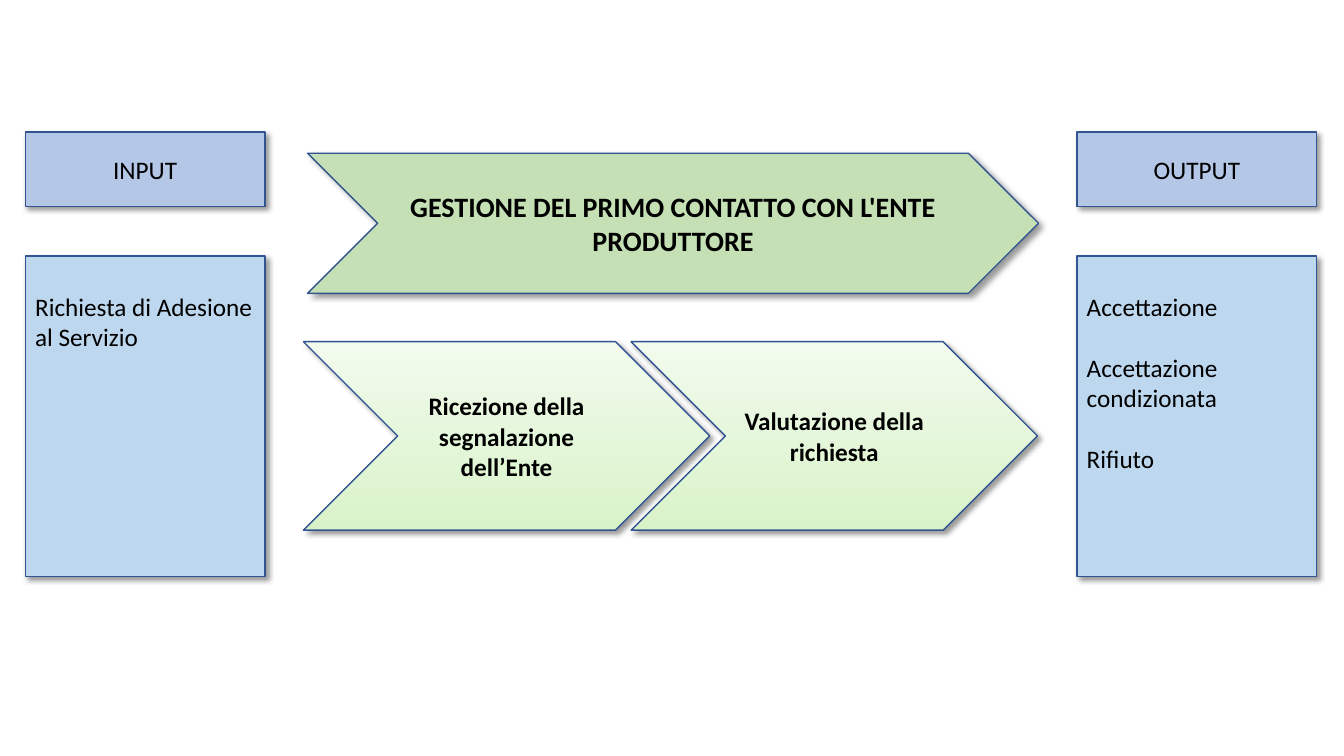
from lxml import etree
from pptx import Presentation
from pptx.dml.color import RGBColor
from pptx.enum.shapes import MSO_SHAPE
from pptx.enum.text import MSO_ANCHOR, PP_ALIGN
from pptx.oxml.ns import qn
from pptx.util import Inches, Pt

COLUMN_WIDTH = 2.38
COLUMNS = [
    (0.25, "INPUT", ["Richiesta di Adesione al Servizio"]),
    (10.68, "OUTPUT", ["Accettazione", "Accettazione condizionata", "Rifiuto"]),
]
STEPS = [
    (3.01, "Ricezione della segnalazione dell’Ente"),
    (6.26, "Valutazione della richiesta"),
]


def rgb(color):
    return RGBColor.from_string(color)


def add_shadow(sp):
    """Soft black shadow falling to the lower right."""
    sp.shadow.inherit = False
    effects = sp._element.spPr.find(qn("a:effectLst"))
    shadow = etree.SubElement(
        effects, qn("a:outerShdw"), blurRad=str(Pt(4)), dist=str(Pt(3)),
        dir=str(45 * 60000), algn="tl", rotWithShape="0")
    color = etree.SubElement(shadow, qn("a:srgbClr"), val="000000")
    etree.SubElement(color, qn("a:alpha"), val="40000")


def add_box(slide, kind, left, top, width, height, fill):
    """Outlined, shadowed shape; a pair of colours fills from bottom to top."""
    sp = slide.shapes.add_shape(
        kind, Inches(left), Inches(top), Inches(width), Inches(height))
    if isinstance(fill, tuple):
        sp.fill.gradient()
        sp.fill.gradient_angle = 90
        for stop, color in zip(sp.fill.gradient_stops, fill):
            stop.color.rgb = rgb(color)
    else:
        sp.fill.solid()
        sp.fill.fore_color.rgb = rgb(fill)
    sp.line.color.rgb = rgb("325491")
    sp.line.width = Pt(1)
    add_shadow(sp)
    return sp


def set_text(sp, *lines, size=18, bold=False, align=PP_ALIGN.CENTER,
             anchor=MSO_ANCHOR.MIDDLE, top_inset=0.05, gap=0):
    tf = sp.text_frame
    tf.word_wrap = True
    tf.vertical_anchor = anchor
    tf.margin_top = Inches(top_inset)
    for i, line in enumerate(lines):
        p = tf.paragraphs[0] if i == 0 else tf.add_paragraph()
        p.alignment = align
        if i:
            p.space_before = Pt(gap)
        r = p.add_run()
        r.text = line
        r.font.name = "Calibri"
        r.font.size = Pt(size)
        r.font.bold = bold
        r.font.color.rgb = rgb("000000")


def add_column(slide, left, title, items):
    header = add_box(slide, MSO_SHAPE.RECTANGLE, left, 1.31, COLUMN_WIDTH, 0.74, "B4C7E7")
    set_text(header, title)
    body = add_box(slide, MSO_SHAPE.RECTANGLE, left, 2.54, COLUMN_WIDTH, 3.18, "BDD7EE")
    set_text(body, *items, align=PP_ALIGN.LEFT, anchor=MSO_ANCHOR.TOP,
             top_inset=0.35, gap=22)


def add_step(slide, left, text):
    step = add_box(slide, MSO_SHAPE.CHEVRON, left, 3.39, 4.03, 1.87, ("D9F3C9", "F2FBEE"))
    set_text(step, text, bold=True)


def add_process(slide, text):
    process = add_box(slide, MSO_SHAPE.CHEVRON, 3.05, 1.52, 7.25, 1.39, "C5E0B4")
    set_text(process, text, size=20, bold=True)


def main():
    prs = Presentation()
    prs.slide_width = Inches(13.33)
    prs.slide_height = Inches(7.5)
    slide = prs.slides.add_slide(prs.slide_layouts[6])
    for left, text in STEPS:
        add_step(slide, left, text)
    for left, title, items in COLUMNS:
        add_column(slide, left, title, items)
    add_process(slide, "GESTIONE DEL PRIMO CONTATTO CON L'ENTE PRODUTTORE")
    prs.save("out.pptx")


if __name__ == "__main__":
    main()
